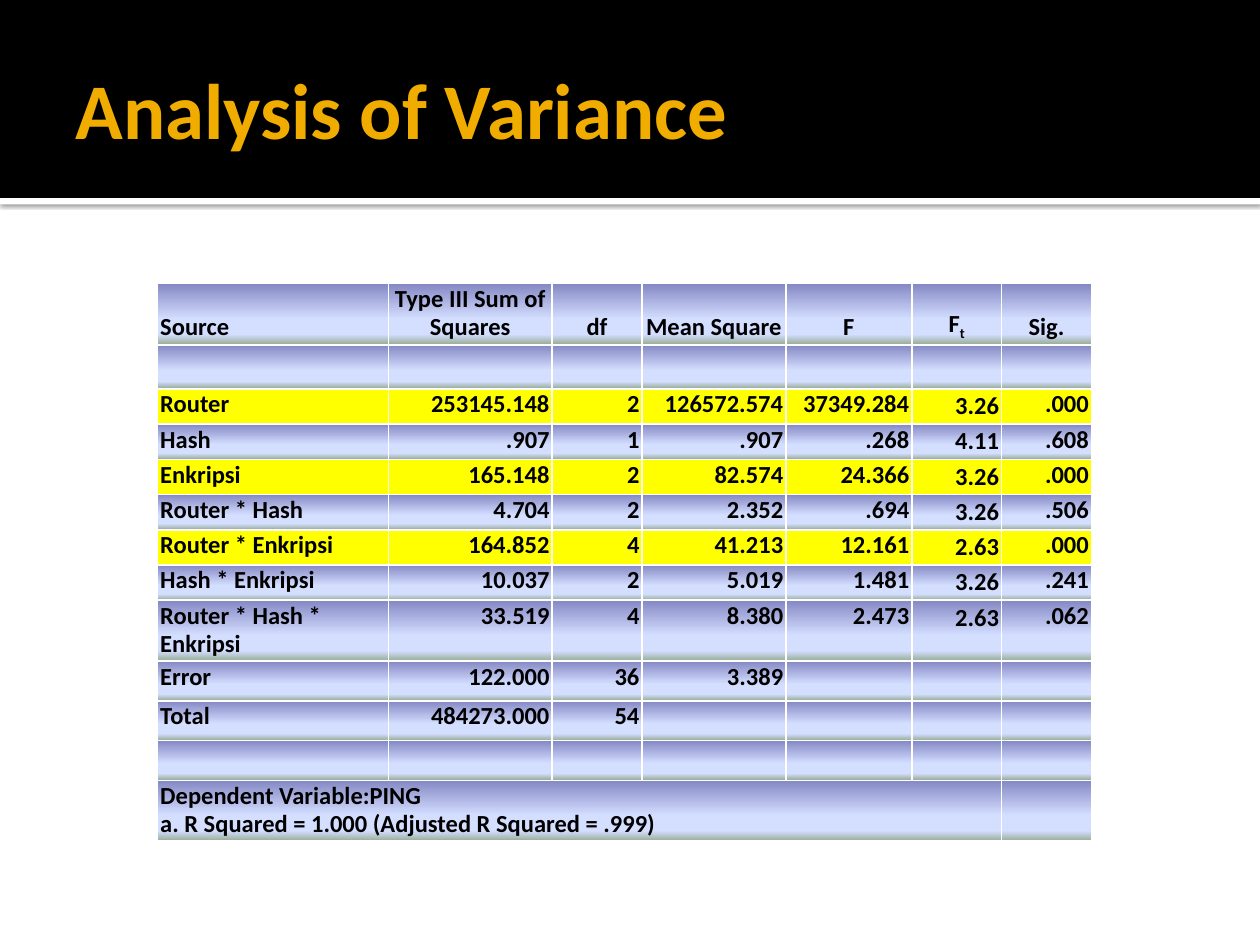
import pptx
import pptx.dml.color
import pptx.enum.shapes
import pptx.enum.text
import pptx.oxml
import pptx.oxml.ns
import pptx.util
from lxml import etree

Cm, Pt = pptx.util.Cm, pptx.util.Pt
RGBColor = pptx.dml.color.RGBColor
ALIGN = pptx.enum.text.PP_ALIGN
ANCHOR = pptx.enum.text.MSO_ANCHOR
qn = pptx.oxml.ns.qn

BLACK = RGBColor(0x00, 0x00, 0x00)
WHITE = RGBColor(0xFF, 0xFF, 0xFF)
AMBER = RGBColor(0xF0, 0xAD, 0x00)
YELLOW = RGBColor(0xFF, 0xFF, 0x00)
PERIWINKLE = RGBColor(0x84, 0x88, 0xC4)
PALE_BLUE = RGBColor(0xD4, 0xDE, 0xFF)
SAGE = RGBColor(0x96, 0xAB, 0x94)
GRADIENT = [(0, PERIWINKLE), (58, PALE_BLUE), (83, PALE_BLUE), (100, SAGE)]
FONT = "Calibri"

TITLE = "Analysis of Variance"
HEADER = ["Source", "Type III Sum of Squares", "df", "Mean Square", "F", "Ft", "Sig."]
FT = HEADER.index("Ft")
ROWS = [
    HEADER,
    [],
    ["Router", "253145.148", "2", "126572.574", "37349.284", "3.26", ".000"],
    ["Hash", ".907", "1", ".907", ".268", "4.11", ".608"],
    ["Enkripsi", "165.148", "2", "82.574", "24.366", "3.26", ".000"],
    ["Router * Hash", "4.704", "2", "2.352", ".694", "3.26", ".506"],
    ["Router * Enkripsi", "164.852", "4", "41.213", "12.161", "2.63", ".000"],
    ["Hash * Enkripsi", "10.037", "2", "5.019", "1.481", "3.26", ".241"],
    ["Router * Hash * Enkripsi", "33.519", "4", "8.380", "2.473", "2.63", ".062"],
    ["Error", "122.000", "36", "3.389"],
    ["Total", "484273.000", "54"],
    [],
    ["Dependent Variable:PING\na. R Squared = 1.000 (Adjusted R Squared = .999)"],
]
SIGNIFICANT = ".000"
COL_WIDTHS = [4.65, 3.3, 1.81, 2.9, 2.54, 1.81, 1.81]
ROW_HEIGHTS = [1.23, 0.89] + [0.71] * 6 + [1.22, 0.8, 0.8, 0.8, 1.2]


def add_band(slide, top, height, color):
    sp = slide.shapes.add_shape(pptx.enum.shapes.MSO_SHAPE.RECTANGLE,
                                0, Cm(top), Cm(25.4), Cm(height))
    sp.shadow.inherit = False
    sp.fill.solid()
    sp.fill.fore_color.rgb = color
    sp.line.fill.background()
    return sp


def add_drop_shadow(sp):
    effects = sp._element.spPr.find(qn("a:effectLst"))
    shadow = etree.SubElement(effects, qn("a:outerShdw"), blurRad=str(Pt(2.5)),
                              dist=str(Pt(0.8)), dir="5400000", algn="t", rotWithShape="0")
    color = etree.SubElement(shadow, qn("a:srgbClr"), val=str(BLACK))
    etree.SubElement(color, qn("a:alpha"), val="60000")


def style_font(p, size, color):
    p.font.name, p.font.size, p.font.bold = FONT, Pt(size), True
    p.font.color.rgb = color


def add_title(slide):
    tf = slide.shapes.add_textbox(Cm(1.27), Cm(0.43), Cm(22.86), Cm(3.48)).text_frame
    tf.word_wrap = True
    tf.vertical_anchor = ANCHOR.MIDDLE
    tf.margin_left = Cm(0.25)
    tf.margin_right = tf.margin_top = tf.margin_bottom = Cm(0.13)
    p = tf.paragraphs[0]
    p.text = TITLE
    style_font(p, 45, AMBER)


def set_borders(cell):
    tc_pr = cell._tc.get_or_add_tcPr()
    for side in ("lnL", "lnR", "lnT", "lnB"):
        line = etree.SubElement(tc_pr, qn(f"a:{side}"), w=str(Pt(1)))
        fill = etree.SubElement(line, qn("a:solidFill"))
        etree.SubElement(fill, qn("a:srgbClr"), val=str(WHITE))


def set_fill(cell, highlighted):
    if highlighted:
        cell.fill.solid()
        cell.fill.fore_color.rgb = YELLOW
        return
    cell.fill.gradient()
    cell.fill.gradient_angle = 270
    stops = cell._tc.tcPr.find(qn("a:gradFill")).find(qn("a:gsLst"))
    for stop in list(stops):
        stops.remove(stop)
    for percent, color in GRADIENT:
        stop = etree.SubElement(stops, qn("a:gs"), pos=str(percent * 1000))
        etree.SubElement(stop, qn("a:srgbClr"), val=str(color))


def write_cell(cell, text, row, col):
    cell.margin_left = cell.margin_right = Cm(0.05)
    cell.margin_top = cell.margin_bottom = Cm(0.05 if text else 0)
    cell.vertical_anchor = ANCHOR.TOP if row else ANCHOR.BOTTOM
    cell.text = text
    for p in cell.text_frame.paragraphs:
        style_font(p, 14, BLACK)
        if col:
            p.alignment = ALIGN.RIGHT if row else ALIGN.CENTER
        if col != FT:
            p.line_spacing = Pt(16)
    if text == "Ft":
        base = p.runs[0]
        base.text = "F"
        subscript = p.add_run()
        subscript.text = "t"
        subscript.font._element.set("baseline", "-25000")


def add_anova_table(slide):
    table = slide.shapes.add_table(len(ROWS), len(HEADER), Cm(3.18), Cm(5.72),
                                   Cm(sum(COL_WIDTHS)), Cm(sum(ROW_HEIGHTS))).table
    table.first_row = table.horz_banding = False
    for column, width in zip(table.columns, COL_WIDTHS):
        column.width = Cm(width)
    for r, (values, height) in enumerate(zip(ROWS, ROW_HEIGHTS)):
        table.rows[r].height = Cm(height)
        for c in range(len(HEADER)):
            cell = table.cell(r, c)
            write_cell(cell, values[c] if c < len(values) else "", r, c)
            set_borders(cell)
            set_fill(cell, SIGNIFICANT in values)
    last = len(ROWS) - 1
    table.cell(last, 0).merge(table.cell(last, len(HEADER) - 2))


def main():
    prs = pptx.Presentation()
    prs.slide_width, prs.slide_height = Cm(25.4), Cm(19.05)
    slide = prs.slides.add_slide(prs.slide_layouts[6])
    add_drop_shadow(add_band(slide, 3.99, 0.13, WHITE))
    add_band(slide, 0, 3.99, BLACK)
    add_title(slide)
    add_anova_table(slide)
    prs.save("out.pptx")


if __name__ == "__main__":
    main()
